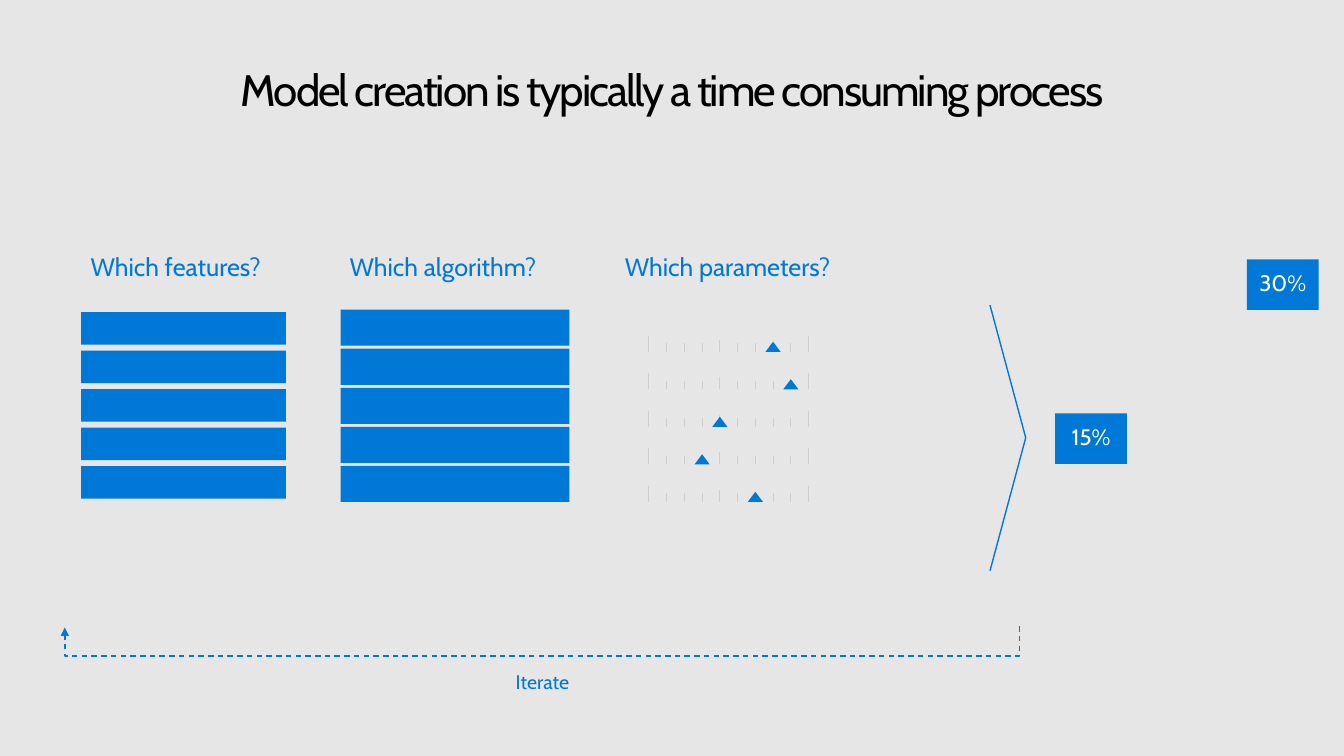
"""Build the slide on why model creation takes so much time."""
from lxml.etree import SubElement
from pptx import Presentation
from pptx.dml.color import RGBColor
from pptx.enum.dml import MSO_LINE
from pptx.enum.shapes import MSO_CONNECTOR, MSO_SHAPE
from pptx.enum.text import MSO_ANCHOR, MSO_AUTO_SIZE, PP_ALIGN
from pptx.oxml.ns import qn
from pptx.util import Pt

COLORS = {
    "background": "E6E6E6",
    "blue": "0078D7",
    "label": "0078D4",
    "tick": "CFCFCF",
    "black": "000000",
    "white": "FFFFFF",
}


def write_text(shape, text, size, color, align=PP_ALIGN.LEFT, spacing=None, grow=False):
    frame = shape.text_frame
    frame.word_wrap = True
    if grow:
        frame.auto_size = MSO_AUTO_SIZE.SHAPE_TO_FIT_TEXT
    para = frame.paragraphs[0]
    para.alignment = align
    para.line_spacing = 0.9
    span = para.add_run()
    span.text = text
    span.font.name = "Cabin"
    span.font.size = Pt(size)
    span.font.color.rgb = RGBColor.from_string(COLORS[color])
    if spacing is not None:
        span.font._element.set("spc", str(spacing))


def add_block(kind, left, top, width, height):
    block = page.shapes.add_shape(kind, Pt(left), Pt(top), Pt(width), Pt(height))
    block.shadow.inherit = False
    block.fill.solid()
    block.fill.fore_color.rgb = RGBColor.from_string(COLORS["blue"])
    block.line.fill.background()
    return block


deck = Presentation()
deck.slide_width, deck.slide_height = Pt(960), Pt(540)
page = deck.slides.add_slide(deck.slide_layouts[6])
page.background.fill.solid()
page.background.fill.fore_color.rgb = RGBColor.from_string(COLORS["background"])

title = page.shapes.add_textbox(Pt(46), Pt(36), Pt(868), Pt(87))
title.text_frame.margin_left = title.text_frame.margin_right = 0
title.text_frame.margin_top, title.text_frame.margin_bottom = Pt(13), 0
write_text(title, "Model creation is typically a time consuming process", 31.4, "black",
           align=PP_ALIGN.CENTER, spacing=-150)

labels = [
    ("Which features?", 57.6, 178.6, 162.7, 26.6, 18, PP_ALIGN.LEFT),
    ("Which algorithm?", 242.6, 178.6, 174.2, 26.6, 18, PP_ALIGN.LEFT),
    ("Which parameters?", 439.2, 178.6, 190, 26.6, 18, PP_ALIGN.LEFT),
    ("Iterate", 347.5, 476.6, 80, 22.3, 14, PP_ALIGN.CENTER),
]
for text, left, top, width, height, size, align in labels:
    box = page.shapes.add_textbox(Pt(left), Pt(top), Pt(width), Pt(height))
    write_text(box, text, size, "label", align=align, grow=True)

bar_stacks = [(58, 223, 146.3, 23.2, 27.5), (243.4, 221.2, 163.4, 25.8, 27.9)]
for left, top, width, height, step in bar_stacks:
    for row in range(5):
        add_block(MSO_SHAPE.RECTANGLE, left, top + row * step, width, height)

tick_heights = {0: 11.5, 4: 8.6, 9: 11.5}
slider_positions = [7, 8, 4, 3, 6]
for row, position in enumerate(slider_positions):
    base = 251.3 + row * 26.8
    for column in range(10):
        x = 463.5 + column * 12.67
        tick = page.shapes.add_connector(
            MSO_CONNECTOR.STRAIGHT, Pt(x), Pt(base),
            Pt(x), Pt(base - tick_heights.get(column, 6.3)))
        tick.line.color.rgb = RGBColor.from_string(COLORS["tick"])
        tick.line.width = Pt(0.75)
        SubElement(tick._element.spPr, qn("a:effectLst"))
    add_block(MSO_SHAPE.ISOSCELES_TRIANGLE, 458.1 + position * 12.67, base - 7.2, 10.8, 7.2)

outline = page.shapes.build_freeform(Pt(707.2), Pt(218))
outline.add_line_segments([(Pt(732.7), Pt(312.7)), (Pt(707.2), Pt(407.7))], close=False)
chevron = outline.convert_to_shape()
chevron.shadow.inherit = False
chevron.fill.background()
chevron.line.color.rgb = RGBColor.from_string(COLORS["blue"])
chevron.line.width = Pt(1)

for text, left, top in [("30%", 890.6, 185.2), ("15%", 753.6, 295.2)]:
    badge = add_block(MSO_SHAPE.RECTANGLE, left, top, 51.4, 36.2)
    badge.text_frame.vertical_anchor = MSO_ANCHOR.MIDDLE
    write_text(badge, text, 16, "white", align=PP_ALIGN.CENTER)

loop = page.shapes.add_connector(
    MSO_CONNECTOR.ELBOW, Pt(386.8), Pt(106.7), Pt(387.8), Pt(788.7))
loop.line.color.rgb = RGBColor.from_string(COLORS["blue"])
loop.line.width = Pt(1)
loop.line.dash_style = MSO_LINE.DASH
SubElement(loop.line._get_or_add_ln(), qn("a:tailEnd"), type="triangle")
loop_properties = loop._element.spPr
SubElement(loop_properties, qn("a:effectLst"))
loop_properties.find(qn("a:xfrm")).set("rot", "5400000")
adjustments = loop_properties.find(qn("a:prstGeom")).find(qn("a:avLst"))
SubElement(adjustments, qn("a:gd"), name="adj1", fmla="val 2170000")

deck.save("out.pptx")
